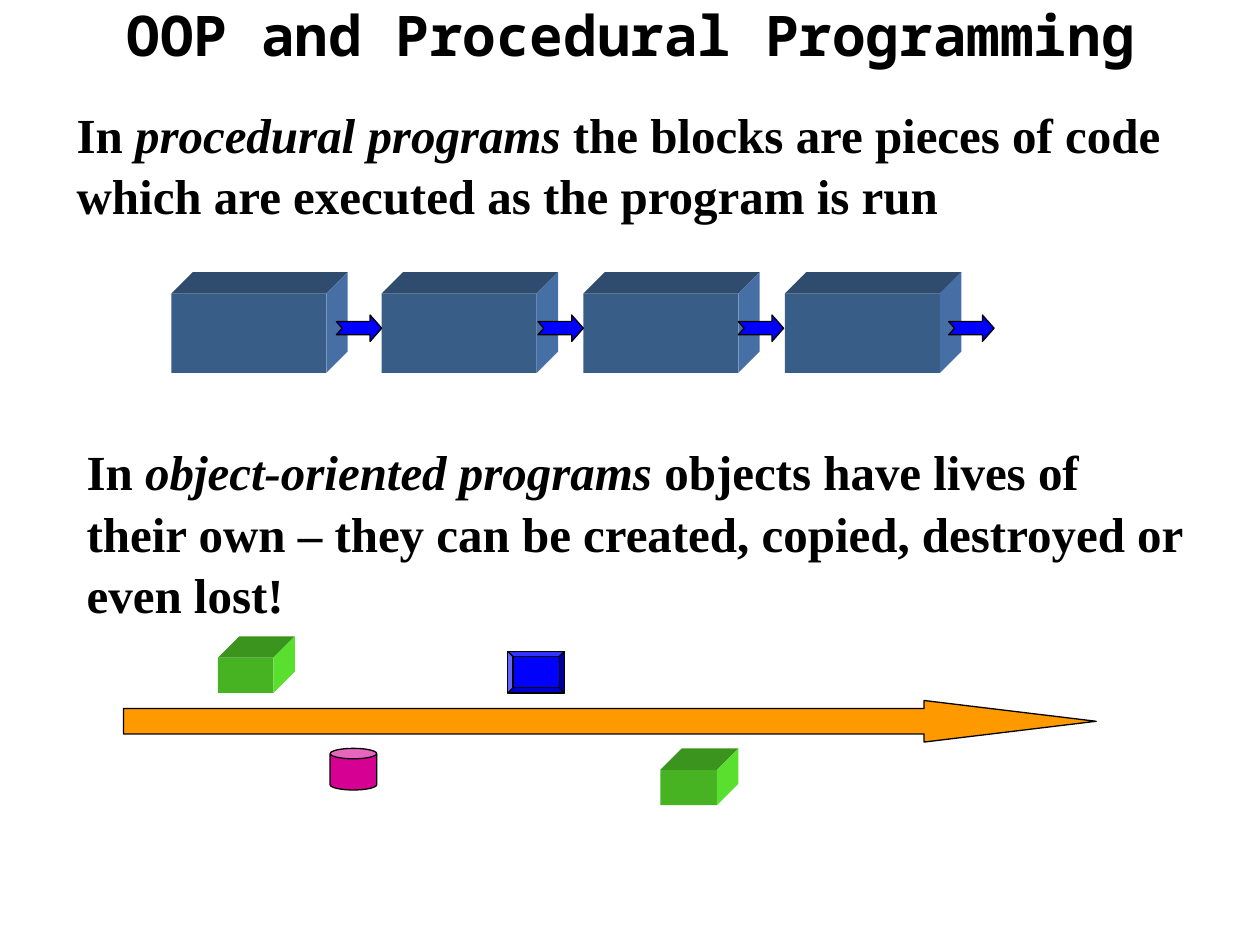
import pptx
import pptx.util
import pptx.dml.color
import pptx.enum.shapes
import pptx.enum.text

Inches, Pt = pptx.util.Inches, pptx.util.Pt
RGBColor = pptx.dml.color.RGBColor
MSO_SHAPE = pptx.enum.shapes.MSO_SHAPE

BLACK = RGBColor(0x00, 0x00, 0x00)
BLUE = RGBColor(0x00, 0x00, 0xFF)
ORANGE = RGBColor(0xFF, 0x99, 0x00)
MAGENTA = RGBColor(0xD6, 0x00, 0x93)
# Front, top and side faces of the blocks
STEEL_FACES = (RGBColor(0x38, 0x5D, 0x87), RGBColor(0x2F, 0x4B, 0x6D), RGBColor(0x46, 0x70, 0xA5))
GREEN_FACES = (RGBColor(0x47, 0xB3, 0x23), RGBColor(0x3B, 0x94, 0x1D), RGBColor(0x59, 0xDF, 0x2D))
DEPTH = 0.17

prs = pptx.Presentation()
prs.slide_width, prs.slide_height = Inches(10), Inches(7.5)
s = prs.slides.add_slide(prs.slide_layouts[5])


def add_outlined(kind, left, top, width, height, color, adjustments):
    sp = s.shapes.add_shape(kind, Inches(left), Inches(top), Inches(width), Inches(height))
    for i, value in enumerate(adjustments):
        sp.adjustments[i] = value
    sp.shadow.inherit = False
    sp.fill.solid()
    sp.fill.fore_color.rgb = color
    sp.line.color.rgb = BLACK
    sp.line.width = Pt(0.75)


def add_block(left, top, width, height, faces):
    """Draw a solid block whose front face has the given bounds."""
    right, bottom = left + width, top + height
    back_top, back_right = top - DEPTH, right + DEPTH
    front = s.shapes.add_shape(MSO_SHAPE.RECTANGLE, Inches(left), Inches(top),
                               Inches(width), Inches(height))
    outlines = (
        [(left, top), (left + DEPTH, back_top), (back_right, back_top), (right, top)],
        [(right, top), (back_right, back_top), (back_right, bottom - DEPTH), (right, bottom)],
    )
    shapes = [front]
    for points in outlines:
        corners = [(Inches(x), Inches(y)) for x, y in points]
        builder = s.shapes.build_freeform(*corners[0])
        builder.add_line_segments(corners[1:], close=True)
        shapes.append(builder.convert_to_shape())
    for sp, color in zip(shapes, faces):
        sp.shadow.inherit = False
        sp.fill.solid()
        sp.fill.fore_color.rgb = color
        sp.line.fill.background()


# Title
title = s.shapes.title
title.left, title.top, title.width, title.height = Inches(0.51), Inches(0), Inches(9), Inches(0.54)
tf = title.text_frame
tf.vertical_anchor = pptx.enum.text.MSO_ANCHOR.MIDDLE
p = tf.paragraphs[0]
p.alignment = pptx.enum.text.PP_ALIGN.CENTER
r = p.add_run()
r.text = "OOP and Procedural Programming"
r.font.name, r.font.size, r.font.bold = "Noto Sans Mono", Pt(32), True
r.font.color.rgb = BLACK

# Statements, each with its key term in italics
statements = [
    (0.51, 0.76, 9.21, 1.03, "procedural programs",
     " the blocks are pieces of code which are executed as the program is run"),
    (0.59, 3.44, 8.9, 1.5, "object-oriented programs",
     " objects have lives of their own – they can be created, copied, destroyed or even lost!"),
]
for left, top, width, height, term, rest in statements:
    box = s.shapes.add_textbox(Inches(left), Inches(top), Inches(width), Inches(height))
    tf = box.text_frame
    tf.word_wrap = True
    p = tf.paragraphs[0]
    p.line_spacing = 1.04
    for text, italic in (("In ", False), (term, True), (rest, False)):
        r = p.add_run()
        r.text = text
        r.font.name, r.font.size = "Times New Roman", Pt(28)
        r.font.bold, r.font.italic = True, italic
        r.font.color.rgb = BLACK

# Procedural program: a chain of code blocks
for left in (1.36, 3.03, 4.63, 6.23):
    add_block(left, 2.33, 1.23, 0.63, STEEL_FACES)
for left in (2.67, 4.27, 5.86, 7.53):
    add_outlined(MSO_SHAPE.NOTCHED_RIGHT_ARROW, left, 2.5, 0.36, 0.21, BLUE, (0.5, 0.44))

# Object-oriented program: objects along a timeline
add_outlined(MSO_SHAPE.RIGHT_ARROW, 0.98, 5.56, 7.72, 0.33, ORANGE, (0.61, 4.14))
add_block(1.73, 5.22, 0.44, 0.28, GREEN_FACES)
add_outlined(MSO_SHAPE.CAN, 2.62, 5.94, 0.37, 0.33, MAGENTA, (0.25,))
add_outlined(MSO_SHAPE.BEVEL, 4.03, 5.17, 0.45, 0.33, BLUE, (0.125,))
add_block(5.24, 6.11, 0.45, 0.28, GREEN_FACES)

prs.save("out.pptx")
